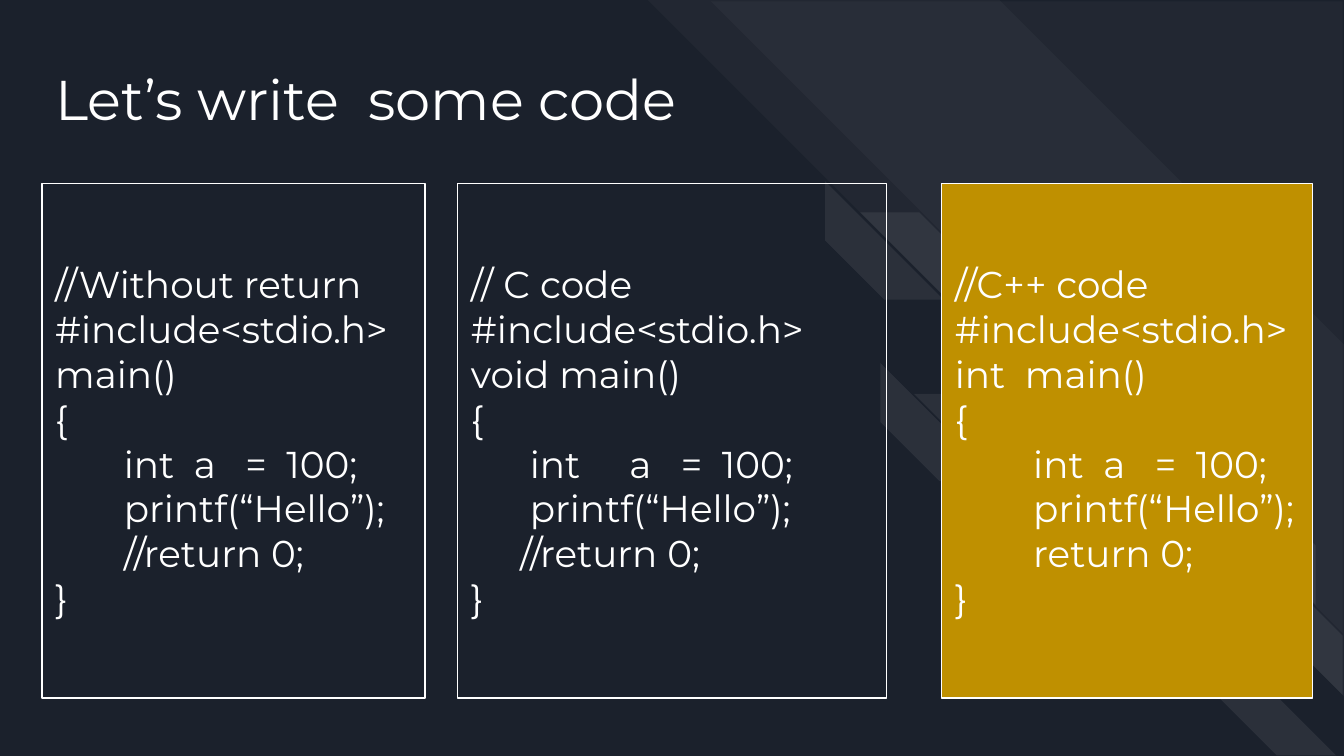
from typing import NamedTuple

from lxml.etree import SubElement
from pptx import Presentation
from pptx.dml.color import RGBColor
from pptx.enum.shapes import MSO_SHAPE as Preset
from pptx.enum.text import MSO_ANCHOR as Anchor, MSO_AUTO_SIZE as AutoSize, PP_ALIGN as Align
from pptx.oxml.ns import qn
from pptx.util import Inches, Pt

FONT = "Montserrat"
WHITE, NAVY, GOLD = "FFFFFF", "1B212C", "BF9000"
SLIDE_WIDTH = Inches(10)
SLIDE_HEIGHT = SLIDE_WIDTH * 9 // 16
SPACE = 0.73  # width of one space of code, in percent of the slide's width
PANEL_TOP, PANEL_HEIGHT = 13.65, 38.3
SMALL = 8.8  # side of a small stripe


class Stripe(NamedTuple):
    left: float
    top: float
    side: float
    turn: int  # 0 means mirrored, with the solid corner at the top right
    inner: float  # percent of the side
    opacity: int


class CodePanel(NamedTuple):
    left: float
    width: float
    fill: str | None
    lines: list[tuple[int, str]]  # indent in spaces, code


STRIPES = [
    Stripe(48.2, 0, 51.8, 90, 49.5, 3),
    Stripe(52.9, 0.1, 47, 90, 0, 3),
    *(Stripe(left, top, SMALL, turn, 50, 7) for left, top, turn in [
        (61.4, 13.5, 270), (64, 15.8, 0),
        (65.5, 27, 270), (68, 29.3, 0),
        (89.1, 36.2, 0), (91.1, 42.9, 0), (90.6, 47.4, 270),
    ]),
]

INCLUDE = (0, "#include<stdio.h>")
PRINT = "printf(“Hello”);"
PANELS = [
    CodePanel(3.12, 28.5, None, [
        (0, "//Without return"), INCLUDE, (0, "main()"), (0, "{"),
        (7, "int  a   =  100;"), (7, PRINT), (7, "//return 0;"), (0, "}"),
    ]),
    CodePanel(34.06, 31.9, None, [
        (0, "// C code"), INCLUDE, (0, "void main()"), (0, "{"),
        (6, "int     a   =  100;"), (6, PRINT), (5, "//return 0;"), (0, "}"),
    ]),
    CodePanel(70.06, 27.6, GOLD, [
        (0, "//C++ code"), INCLUDE, (0, "int  main()"), (0, "{"),
        (8, "int  a   =  100;"), (8, PRINT), (8, "return 0;"), (0, "}"),
    ]),
]


def share(percent: float) -> int:
    """Length for a percentage of the slide's width."""
    return round(SLIDE_WIDTH * percent / 100)


def rgb(color: str) -> RGBColor:
    return RGBColor.from_string(color)


def write(shape, lines: list[tuple[int, str]], *, size: float,
          color: str = WHITE, font: str = FONT) -> None:
    frame = shape.text_frame
    frame.word_wrap = True
    frame.auto_size = AutoSize.NONE
    frame.vertical_anchor = Anchor.MIDDLE
    frame.margin_left = frame.margin_right = share(1)
    frame.margin_top = frame.margin_bottom = share(1)
    for number, (indent, text) in enumerate(lines):
        paragraph = frame.add_paragraph() if number else frame.paragraphs[0]
        paragraph.alignment = Align.LEFT
        paragraph.line_spacing = 1.0
        paragraph.space_before = Pt(0)
        if indent:
            paragraph._p.get_or_add_pPr().set("marL", str(share(indent * SPACE)))
        run = paragraph.add_run()
        run.text = text
        run.font.name = font
        run.font.size = Pt(size)
        run.font.color.rgb = rgb(color)


def draw_stripe(slide, stripe: Stripe) -> None:
    shape = slide.shapes.add_shape(
        Preset.DIAGONAL_STRIPE, share(stripe.left), share(stripe.top),
        share(stripe.side), share(stripe.side))
    shape.shadow.inherit = False
    shape.adjustments[0] = stripe.inner / 100
    shape.rotation = stripe.turn
    if not stripe.turn:
        shape._element.spPr.find(qn("a:xfrm")).set("flipH", "1")
    shape.line.fill.background()
    shape.fill.solid()
    shape.fill.fore_color.rgb = rgb(WHITE)
    tint = shape._element.spPr.find(f"{qn('a:solidFill')}/{qn('a:srgbClr')}")
    SubElement(tint, qn("a:alpha")).set("val", str(stripe.opacity * 1000))


def draw_panel(slide, panel: CodePanel) -> None:
    shape = slide.shapes.add_shape(
        Preset.RECTANGLE, share(panel.left), share(PANEL_TOP),
        share(panel.width), share(PANEL_HEIGHT))
    shape.shadow.inherit = False
    if panel.fill:
        shape.fill.solid()
        shape.fill.fore_color.rgb = rgb(panel.fill)
    else:
        shape.fill.background()
    shape.line.color.rgb = rgb(WHITE)
    shape.line.width = Pt(0.75)
    write(shape, panel.lines, size=20)


def place_title(slide, text: str) -> None:
    title = slide.shapes.title
    title.left, title.top = share(3.12), share(2.5)
    title.width, title.height = share(88.3), share(9.6)
    write(title, [(0, text)], size=30)
    slide.shapes._spTree.append(title._element)  # in front of the stripes


def main() -> None:
    deck = Presentation()
    deck.slide_width, deck.slide_height = SLIDE_WIDTH, SLIDE_HEIGHT
    slide = deck.slides.add_slide(deck.slide_layouts.get_by_name("Title Only"))
    slide.background.fill.solid()
    slide.background.fill.fore_color.rgb = rgb(NAVY)
    for stripe in STRIPES:
        draw_stripe(slide, stripe)
    place_title(slide, "Let’s write  some code")
    for panel in PANELS:
        draw_panel(slide, panel)
    deck.save("out.pptx")


if __name__ == "__main__":
    main()
